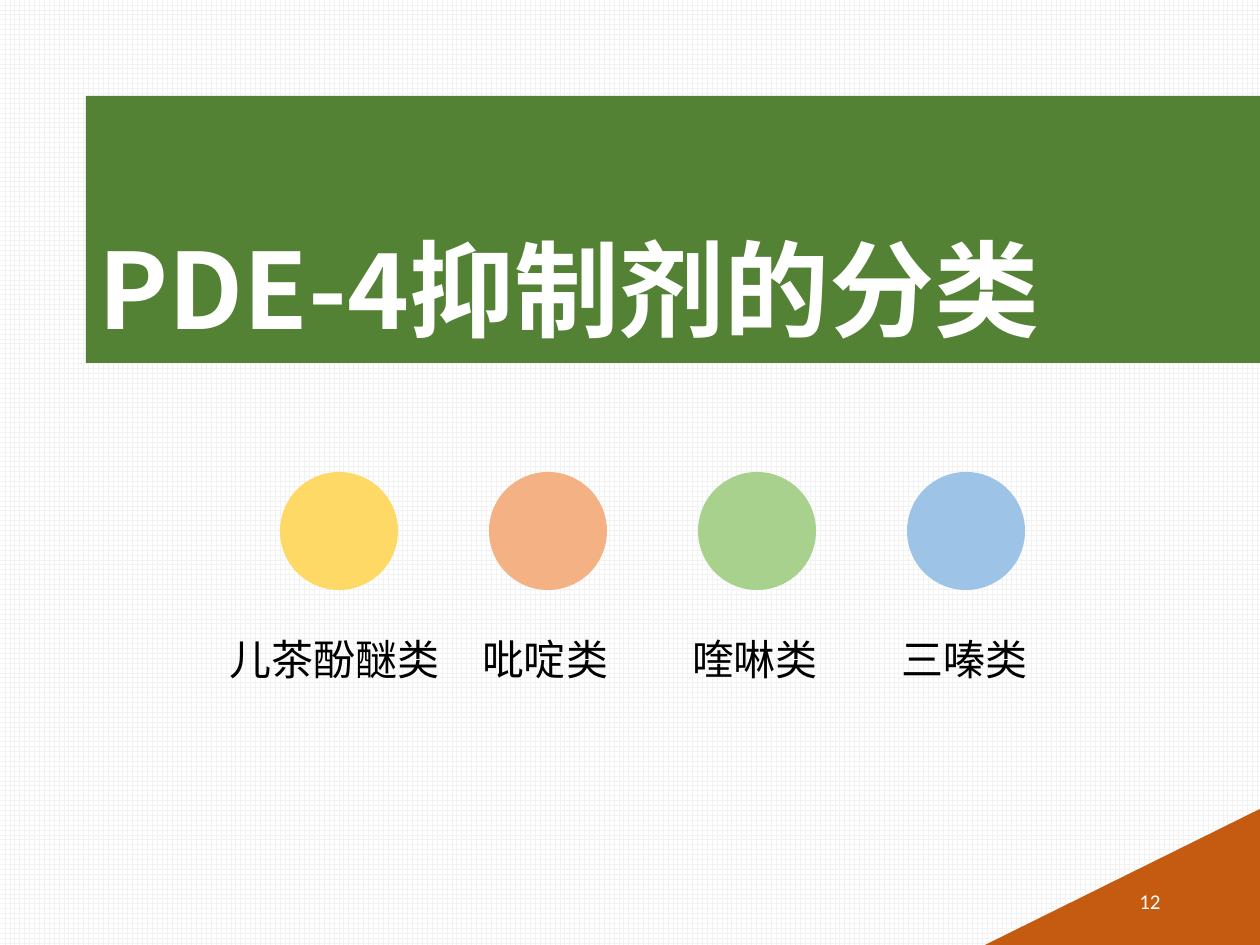
from lxml.etree import SubElement
from pptx import Presentation
from pptx.dml.color import RGBColor
from pptx.enum.dml import MSO_PATTERN
from pptx.enum.shapes import MSO_SHAPE as Shape
from pptx.enum.text import MSO_ANCHOR as Anchor, MSO_AUTO_SIZE as AutoSize, PP_ALIGN as Align
from pptx.oxml.ns import qn
from pptx.util import Pt

EMU_PER_PX = 914400 // 126
COLORS = {
    "paper": "FFFFFF", "grid": "F2F2F2", "banner": "548235", "corner": "C55A11",
    "white": "FFFFFF", "black": "000000",
    "yellow": "FFD966", "orange": "F4B183", "green": "A9D18E", "blue": "9DC3E6",
}
CLASSES = [("儿茶酚醚类", "yellow"), ("吡啶类", "orange"), ("喹啉类", "green"), ("三嗪类", "blue")]


def px(*lengths):
    return [length * EMU_PER_PX for length in lengths]


def color(name):
    return RGBColor.from_string(COLORS[name])


def set_background(slide):
    fill = slide.background.fill
    fill.patterned()
    fill.pattern = MSO_PATTERN.LARGE_GRID
    fill.fore_color.rgb = color("grid")
    fill.back_color.rgb = color("paper")


def add_filled_shape(slide, kind, box, fill):
    shape = slide.shapes.add_shape(kind, *px(*box))
    shape.shadow.inherit = False
    shape.fill.solid()
    shape.fill.fore_color.rgb = color(fill)
    shape.line.fill.background()
    return shape


def write_text(shape, text, *, size, ink, font="Calibri", east_asian=None, bold=False,
               align=Align.LEFT, anchor=Anchor.TOP, spacing=None, wrap=True):
    frame = shape.text_frame
    frame.auto_size = AutoSize.NONE
    frame.word_wrap = wrap
    frame.vertical_anchor = anchor
    paragraph = frame.paragraphs[0]
    paragraph.alignment = align
    paragraph.line_spacing = spacing
    run = paragraph.add_run()
    run.text = text
    run.font.name = font
    run.font.size = Pt(size)
    run.font.bold = bold
    run.font.color.rgb = color(ink)
    if east_asian:
        SubElement(run.font._element, qn("a:ea"), typeface=east_asian)


def add_title(slide, text):
    title = slide.shapes.title
    title.left, title.top, title.width, title.height = px(86, -34, 1086, 393)
    write_text(title, text, size=60, ink="white", font="Noto Sans CJK SC",
               east_asian="Noto Sans CJK SC", bold=True, anchor=Anchor.BOTTOM, spacing=0.9)


def add_class(slide, index, name, fill):
    """Add one inhibitor class: a coloured circle with its name below."""
    add_filled_shape(slide, Shape.OVAL, (280 + 209 * index, 472, 118, 118), fill)
    label = slide.shapes.add_textbox(*px(230 + 210 * index, 633, 210, 60))
    label.text_frame.margin_left = label.text_frame.margin_right = 0
    write_text(label, name, size=24, ink="black", align=Align.CENTER, spacing=0.9, wrap=False)


def main():
    presentation = Presentation()
    presentation.slide_width, presentation.slide_height = px(1260, 945)
    slide = presentation.slides.add_slide(presentation.slide_layouts[5])
    set_background(slide)

    corner = add_filled_shape(slide, Shape.ISOSCELES_TRIANGLE, (985, 809, 275, 136), "corner")
    corner.adjustments[0] = 1
    banner = add_filled_shape(slide, Shape.RECTANGLE, (86, 96, 1174, 267), "banner")
    add_title(slide, "PDE-4抑制剂的分类")
    # The title placeholder comes first in the tree; the banner belongs behind it.
    slide.shapes.title._element.addprevious(banner._element)

    number = slide.shapes.add_textbox(*px(890, 876, 283, 50))
    write_text(number, "12", size=12, ink="white", align=Align.RIGHT, anchor=Anchor.MIDDLE)
    for index, (name, fill) in enumerate(CLASSES):
        add_class(slide, index, name, fill)
    presentation.save("out.pptx")


if __name__ == "__main__":
    main()
